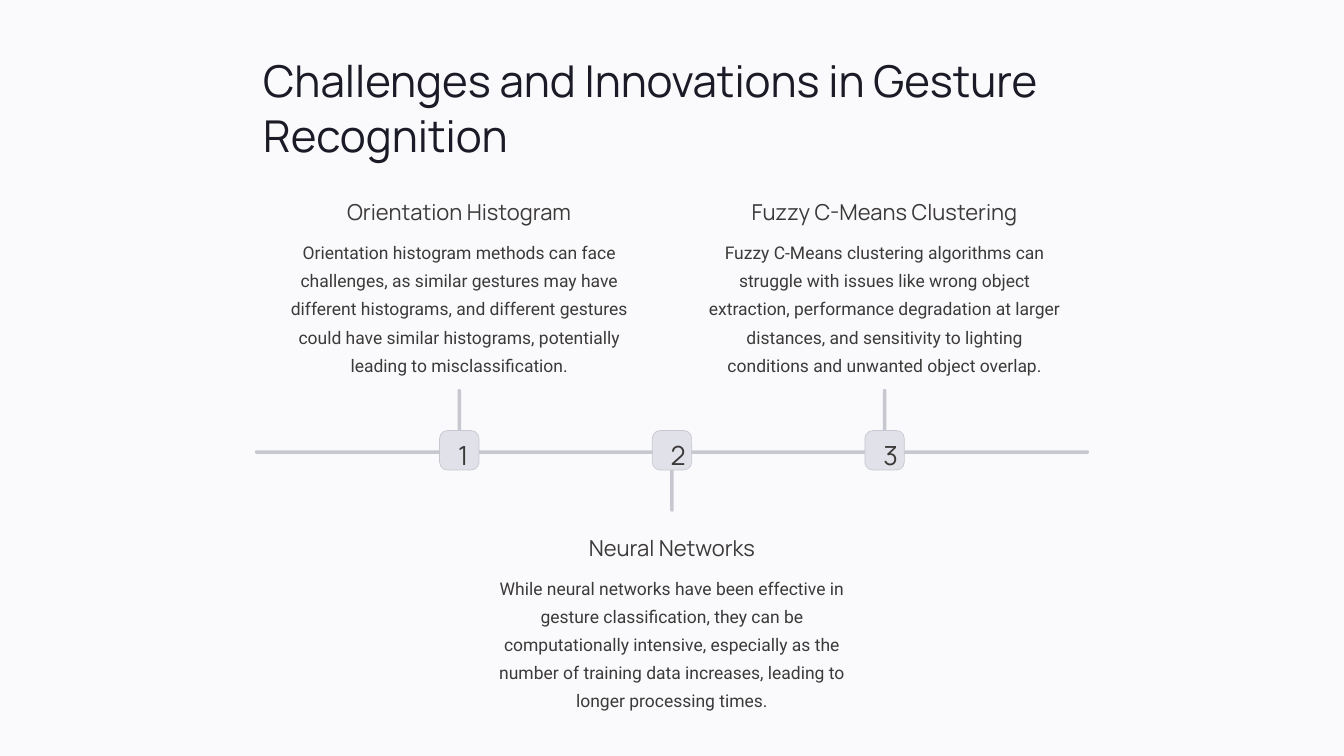
from pptx import Presentation
from pptx.dml.color import RGBColor
from pptx.enum.shapes import MSO_SHAPE
from pptx.enum.text import PP_ALIGN
from pptx.util import Pt

COLORS = {
    "background": "FAFAFC",
    "title": "1B1B27",
    "text": "3C3939",
    "line": "C7C7D0",
    "badge": "E1E1EA",
}
TITLE = "Challenges and Innovations in Gesture Recognition"
MILESTONES = [
    ("Orientation Histogram",
     "Orientation histogram methods can face challenges, as similar gestures may have "
     "different histograms, and different gestures could have similar histograms, "
     "potentially leading to misclassification."),
    ("Neural Networks",
     "While neural networks have been effective in gesture classification, they can be "
     "computationally intensive, especially as the number of training data increases, "
     "leading to longer processing times."),
    ("Fuzzy C-Means Clustering",
     "Fuzzy C-Means clustering algorithms can struggle with issues like wrong object "
     "extraction, performance degradation at larger distances, and sensitivity to lighting "
     "conditions and unwanted object overlap."),
]
BAR = 3
BADGE = 33.8
STEM = 52.6
STEP = 182.3
COLUMN_WIDTH = 319.7


def rgb(name):
    return RGBColor.from_string(COLORS[name])


def add_text(slide, text, left, top, width, height, *, size, leading, font="Manrope",
             color="text", align=PP_ALIGN.CENTER, wrap=True):
    text_box = slide.shapes.add_textbox(Pt(left), Pt(top), Pt(width), Pt(height))
    text_box.text_frame.word_wrap = wrap
    paragraph = text_box.text_frame.paragraphs[0]
    paragraph.alignment = align
    paragraph.line_spacing = Pt(leading)
    run = paragraph.add_run()
    run.text = text
    run.font.name = font
    run.font.size = Pt(size)
    run.font.color.rgb = rgb(color)


def add_rounded(slide, left, top, width, height, *, fill, rounding=0.5, outline=None):
    shape = slide.shapes.add_shape(
        MSO_SHAPE.ROUNDED_RECTANGLE, Pt(left), Pt(top), Pt(width), Pt(height))
    shape.shadow.inherit = False
    shape.adjustments[0] = rounding
    shape.fill.solid()
    shape.fill.fore_color.rgb = rgb(fill)
    if outline:
        shape.line.color.rgb = rgb(outline)
        shape.line.width = Pt(0.6)
    else:
        shape.line.fill.background()


def add_milestone(slide, number, heading, body, center, axis, above):
    """Place stem, numbered badge and text around a point on the axis."""
    stem_top = axis - STEM if above else axis
    add_rounded(slide, center - BAR / 2, stem_top, BAR, STEM, fill="line")
    add_rounded(slide, center - BADGE / 2, axis - BADGE / 2, BADGE, BADGE,
                fill="badge", rounding=0.2, outline="line")
    add_text(slide, str(number), center - 6, axis - 14, 12, 28,
             size=22.6, leading=28.2, wrap=False)

    left = center - COLUMN_WIDTH / 2
    text_top = axis - 220.4 if above else axis + 67.4
    add_text(slide, heading, left, text_top, COLUMN_WIDTH, 23.5,
             size=18.8, leading=23.5, wrap=False)
    add_text(slide, body, left, text_top + 32.4, COLUMN_WIDTH, 120.5,
             size=15, leading=24.1, font="Roboto")


def add_timeline(slide, left, axis, width):
    """Draw the axis with milestones alternating above and below it."""
    add_rounded(slide, left, axis, width, BAR, fill="line")
    first_center = left + width / 2 - STEP * (len(MILESTONES) - 1) / 2
    for index, (heading, body) in enumerate(MILESTONES):
        add_milestone(slide, index + 1, heading, body, first_center + index * STEP,
                      axis, above=index % 2 == 0)


def main():
    presentation = Presentation()
    presentation.slide_width = Pt(1152)
    presentation.slide_height = Pt(648)
    slide = presentation.slides.add_slide(presentation.slide_layouts[6])
    slide.background.fill.solid()
    slide.background.fill.fore_color.rgb = rgb("background")

    left, width = 218.5, 715
    add_text(slide, TITLE, left, 41, width, 94, size=37.6, leading=47,
             color="title", align=PP_ALIGN.LEFT)
    add_timeline(slide, left, 386, width)
    presentation.save("out.pptx")


if __name__ == "__main__":
    main()
